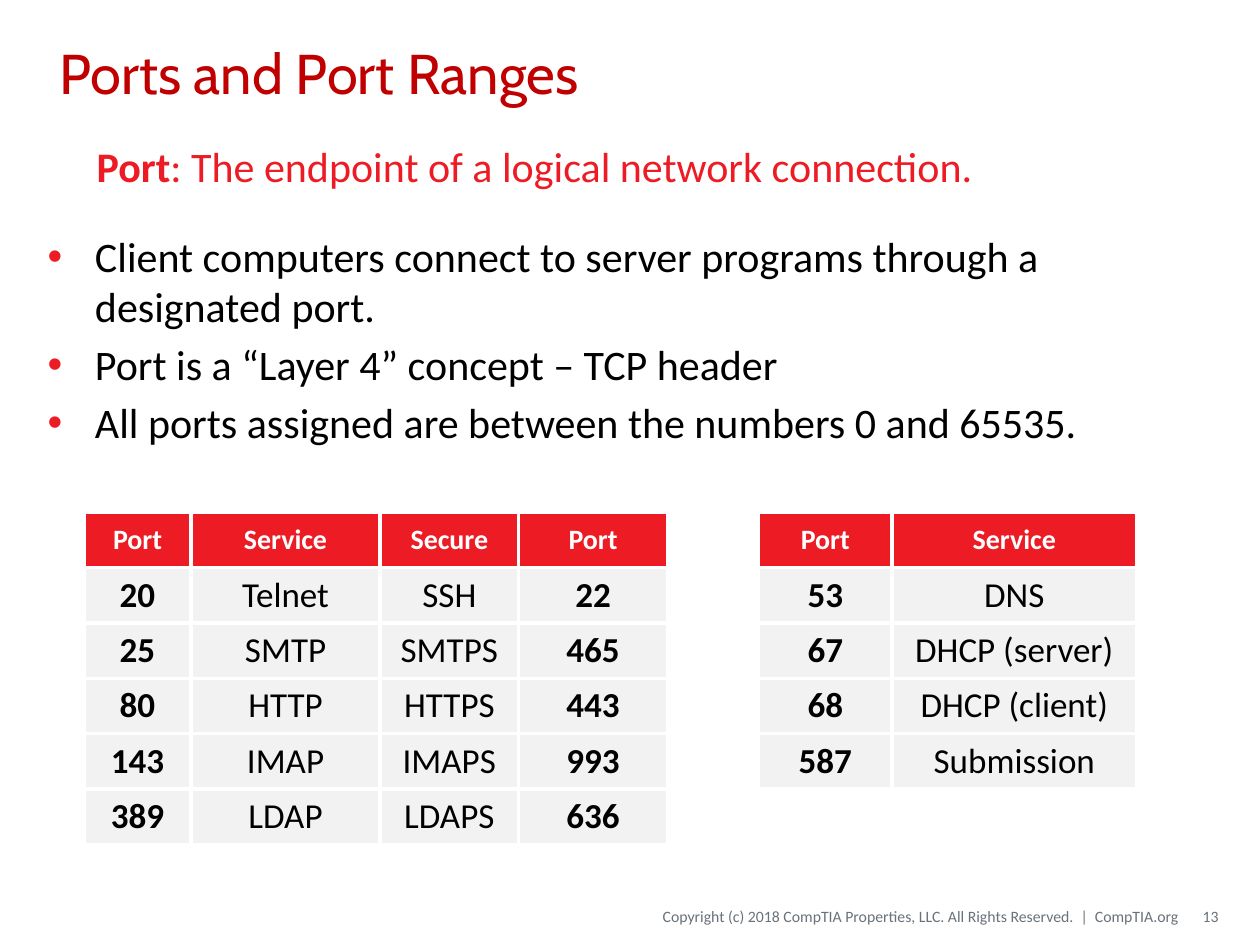
from dataclasses import dataclass

from lxml import etree
from pptx import Presentation
from pptx.dml.color import RGBColor
from pptx.enum import text
from pptx.oxml import ns
from pptx.util import Pt


@dataclass(frozen=True)
class Theme:
    title_font: str = "Cabin"
    body_font: str = "Calibri"
    title_color: str = "C00000"
    accent: str = "ED1C24"
    ink: str = "000000"
    paper: str = "FFFFFF"
    band: str = "F2F2F2"
    footer_color: str = "69727B"
    title_size: float = 32
    body_size: float = 24
    cell_size: float = 20
    header_size: float = 16
    footer_size: float = 9
    border: float = 2.25
    paragraph_gap: float = 4.2


@dataclass(frozen=True)
class Box:
    left: float
    top: float
    width: float
    height: float


@dataclass(frozen=True)
class PortTable:
    left: float
    columns: tuple[float, ...]
    rows: tuple[tuple[str, ...], ...]


THEME = Theme()
TABLE_TOP = 292.5
ROW_HEIGHT = 31.7
BULLET_INDENT = 27

BULLETS = (
    "Client computers connect to server programs through a designated port.",
    "Port is a “Layer 4” concept – TCP header",
    "All ports assigned are between the numbers 0 and 65535.",
)

TABLES = (
    PortTable(433.5, (76.3, 139.7), (
        ("Port", "Service"),
        ("53", "DNS"),
        ("67", "DHCP (server)"),
        ("68", "DHCP (client)"),
        ("587", "Submission"),
    )),
    PortTable(48, (61.2, 108, 79.2, 85), (
        ("Port", "Service", "Secure", "Port"),
        ("20", "Telnet", "SSH", "22"),
        ("25", "SMTP", "SMTPS", "465"),
        ("80", "HTTP", "HTTPS", "443"),
        ("143", "IMAP", "IMAPS", "993"),
        ("389", "LDAP", "LDAPS", "636"),
    )),
)


def style(font, size: float, color: str, bold: bool = False, name: str = THEME.body_font) -> None:
    font.name = name
    font.size = Pt(size)
    font.bold = bold
    font.color.rgb = RGBColor.from_string(color)


def place(shape, box: Box) -> None:
    shape.left, shape.top = Pt(box.left), Pt(box.top)
    shape.width, shape.height = Pt(box.width), Pt(box.height)


def add_text_box(slide, box: Box):
    shape = slide.shapes.add_textbox(Pt(box.left), Pt(box.top), Pt(box.width), Pt(box.height))
    shape.text_frame.word_wrap = True
    return shape.text_frame


def add_footer(slide, box: Box, words: str, left_inset: float) -> None:
    frame = add_text_box(slide, box)
    frame.text = words
    frame.vertical_anchor = text.MSO_ANCHOR.MIDDLE
    frame.margin_left, frame.margin_right = Pt(left_inset), Pt(0)
    paragraph = frame.paragraphs[0]
    paragraph.alignment = text.PP_ALIGN.RIGHT
    style(paragraph.runs[0].font, THEME.footer_size, THEME.footer_color)


def add_bullet(paragraph) -> None:
    properties = paragraph._p.get_or_add_pPr()
    properties.set("marL", str(Pt(BULLET_INDENT)))
    properties.set("indent", str(Pt(-BULLET_INDENT)))
    color = etree.SubElement(properties, ns.qn("a:buClr"))
    etree.SubElement(color, ns.qn("a:srgbClr"), val=THEME.accent)
    etree.SubElement(properties, ns.qn("a:buFont"), typeface="Arial")
    etree.SubElement(properties, ns.qn("a:buChar"), char="•")


def add_borders(cell) -> None:
    properties = cell._tc.get_or_add_tcPr()
    for index, side in enumerate(("lnL", "lnR", "lnT", "lnB")):
        line = etree.Element(ns.qn(f"a:{side}"), w=str(Pt(THEME.border)))
        fill = etree.SubElement(line, ns.qn("a:solidFill"))
        etree.SubElement(fill, ns.qn("a:srgbClr"), val=THEME.paper)
        properties.insert(index, line)


def format_cell(cell, words: str, header: bool) -> None:
    cell.text = words
    cell.vertical_anchor = text.MSO_ANCHOR.MIDDLE
    cell.fill.solid()
    cell.fill.fore_color.rgb = RGBColor.from_string(THEME.accent if header else THEME.band)
    add_borders(cell)
    paragraph = cell.text_frame.paragraphs[0]
    paragraph.alignment = text.PP_ALIGN.CENTER
    size, color = (THEME.header_size, THEME.paper) if header else (THEME.cell_size, THEME.ink)
    style(paragraph.runs[0].font, size, color, bold=header or words.isdigit())


def add_port_table(slide, data: PortTable) -> None:
    row_count = len(data.rows)
    table = slide.shapes.add_table(
        row_count, len(data.columns), Pt(data.left), Pt(TABLE_TOP),
        Pt(sum(data.columns)), Pt(ROW_HEIGHT * row_count)).table
    table.horz_banding = False
    for column, width in zip(table.columns, data.columns):
        column.width = Pt(width)
    for row_index, words in enumerate(data.rows):
        table.rows[row_index].height = Pt(ROW_HEIGHT)
        for column_index, word in enumerate(words):
            format_cell(table.cell(row_index, column_index), word, row_index == 0)


def main() -> None:
    presentation = Presentation()
    presentation.slide_width, presentation.slide_height = Pt(720), Pt(540)
    slide = presentation.slides.add_slide(presentation.slide_layouts[5])

    # Footer and slide number
    add_footer(slide, Box(279.4, 512.6, 393.8, 21.6),
               "Copyright (c) 2018 CompTIA Properties, LLC. All Rights Reserved.  |  CompTIA.org", 0)
    add_footer(slide, Box(675.4, 512.6, 20.9, 21.6), "13", 7.2)

    # Title
    title = slide.shapes.title
    place(title, Box(26.6, 7.9, 666, 66.2))
    title.text_frame.text = "Ports and Port Ranges"
    title.text_frame.auto_size = text.MSO_AUTO_SIZE.NONE
    title.text_frame.vertical_anchor = text.MSO_ANCHOR.MIDDLE
    heading = title.text_frame.paragraphs[0]
    heading.alignment = text.PP_ALIGN.LEFT
    style(heading.runs[0].font, THEME.title_size, THEME.title_color, name=THEME.title_font)

    # Bulleted facts
    frame = add_text_box(slide, Box(20.2, 128.2, 686.2, 374.4))
    frame.text = "\n".join(BULLETS)
    for index, paragraph in enumerate(frame.paragraphs):
        paragraph.space_before = Pt(THEME.paragraph_gap if index else 0)
        add_bullet(paragraph)
        style(paragraph.runs[0].font, THEME.body_size, THEME.ink)

    # Definition
    definition = add_text_box(slide, Box(48.2, 77, 549.4, 59.8)).paragraphs[0]
    for words, bold in (("Port", True), (": The endpoint of a logical network connection.", False)):
        run = definition.add_run()
        run.text = words
        style(run.font, THEME.body_size, THEME.accent, bold)

    # Port tables
    for data in TABLES:
        add_port_table(slide, data)

    presentation.save("out.pptx")


if __name__ == "__main__":
    main()
